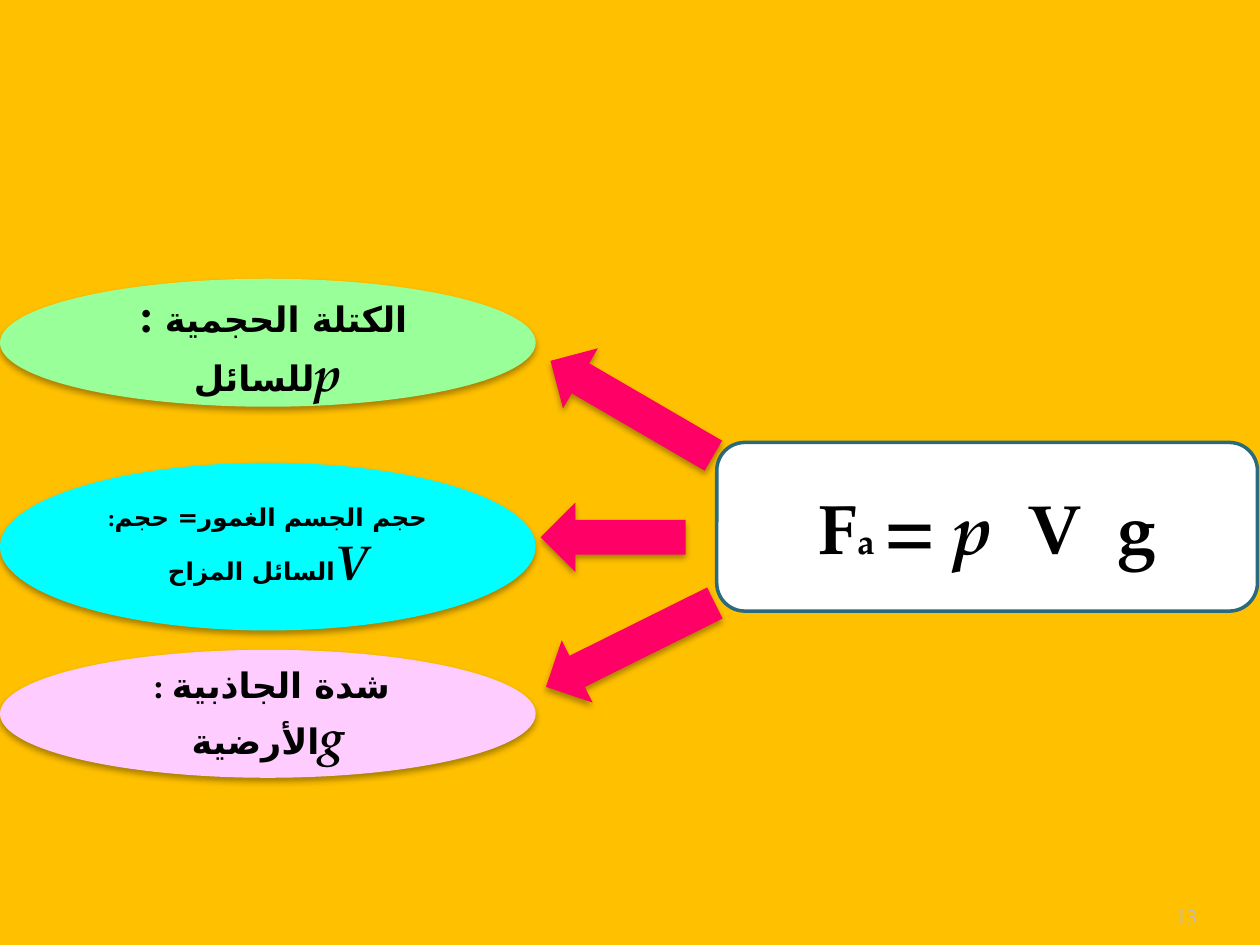
import pptx
import pptx.util
import pptx.dml.color
import pptx.enum.shapes
import pptx.enum.text
import lxml.etree
from pptx.util import Cm

SHAPE = pptx.enum.shapes.MSO_SHAPE
ALIGN = pptx.enum.text.PP_ALIGN
ANCHOR = pptx.enum.text.MSO_ANCHOR
SHADOW = (
    '<a:outerShdw xmlns:a="http://schemas.openxmlformats.org/drawingml/2006/main"'
    ' blurRad="44450" dist="27940" dir="5400000" rotWithShape="0">'
    '<a:srgbClr val="000000"><a:alpha val="32000"/></a:srgbClr></a:outerShdw>'
)


def paint(target, color):
    """Give a fill, or a font through its fill, one solid colour."""
    target.solid()
    target.fore_color.rgb = pptx.dml.color.RGBColor.from_string(color)


def add_text(paragraph, text, size=20, color="000000", bold=True, italic=None):
    run = paragraph.add_run()
    run.text = text
    run.font.name = "TeX Gyre Pagella"
    run.font.size = pptx.util.Pt(size)
    run.font.bold = bold
    run.font.italic = italic
    paint(run.font.fill, color)
    # Arabic letters take the complex-script font
    lxml.etree.SubElement(run.font._element, pptx.oxml.ns.qn("a:cs"),
                          typeface="DejaVu Sans")


deck = pptx.Presentation()
deck.slide_width, deck.slide_height = Cm(25.4), Cm(19.05)
slide = deck.slides.add_slide(deck.slide_layouts[6])
paint(slide.background.fill, "FFC000")

# Slide number
number = slide.shapes.add_textbox(Cm(22.02), Cm(17.83), Cm(2.11), Cm(1.02))
number.text_frame.word_wrap = True
number.text_frame.vertical_anchor = ANCHOR.BOTTOM
number.text_frame.margin_left = number.text_frame.margin_right = 0
number_line = number.text_frame.paragraphs[0]
number_line.alignment = ALIGN.RIGHT
add_text(number_line, "13", size=12, color="BDBDBD", bold=False)

# Buoyancy formula
formula = slide.shapes.add_shape(
    SHAPE.ROUNDED_RECTANGLE, Cm(14.45), Cm(8.92), Cm(10.9), Cm(3.4))
formula.shadow.inherit = False
paint(formula.fill, "FFFFFF")
paint(formula.line.fill, "296B7C")
formula.line.width = pptx.util.Pt(2)
formula.text_frame.vertical_anchor = ANCHOR.MIDDLE
formula_line = formula.text_frame.paragraphs[0]
formula_line.alignment = ALIGN.CENTER
add_text(formula_line, "F", size=40)
add_text(formula_line, "a ", size=20)
add_text(formula_line, "= p  ", size=40, italic=True)
add_text(formula_line, "V  g", size=40)

# Meaning of each symbol: top, height, colour, (text, size) runs, symbol
meanings = [
    (5.62, 2.58, "99FF99", [(" : ", 28), ("الكتلة الحجمية للسائل", 20)], "p"),
    (9.33, 3.38, "00FFFF", [(":حجم الجسم الغمور= حجم السائل المزاح", 14)], "V"),
    (13.1, 2.58, "FFCCFF", [(" : شدة الجاذبية الأرضية", 20)], "g"),
]
shadowed = []
for top, height, color, wording, symbol in meanings:
    meaning = slide.shapes.add_shape(SHAPE.OVAL, 0, Cm(top), Cm(10.8), Cm(height))
    paint(meaning.fill, color)
    meaning.text_frame.vertical_anchor = ANCHOR.MIDDLE
    meaning_line = meaning.text_frame.paragraphs[0]
    meaning_line.alignment = ALIGN.CENTER
    for text, size in wording:
        add_text(meaning_line, text, size=size)
    add_text(meaning_line, symbol, size=28, italic=True)
    shadowed.append(meaning)

# Arrows from the formula to the meanings: left, top, length, rotation
for left, top, length, rotation in [
    (12.04, 6.33, 3.8, 300.2),
    (11.66, 9.37, 2.92, 270),
    (12.01, 11.1, 3.8, 243.6),
]:
    arrow = slide.shapes.add_shape(
        SHAPE.UP_ARROW, Cm(left), Cm(top), Cm(1.4), Cm(length))
    arrow.rotation = rotation
    paint(arrow.fill, "FF0066")
    shadowed.append(arrow)

# Soft shadow below the ellipses and arrows, no outline
for part in shadowed:
    part.line.fill.background()
    part.shadow.inherit = False
    effects = part.element.spPr.find(pptx.oxml.ns.qn("a:effectLst"))
    effects.append(lxml.etree.fromstring(SHADOW))

deck.save("out.pptx")
